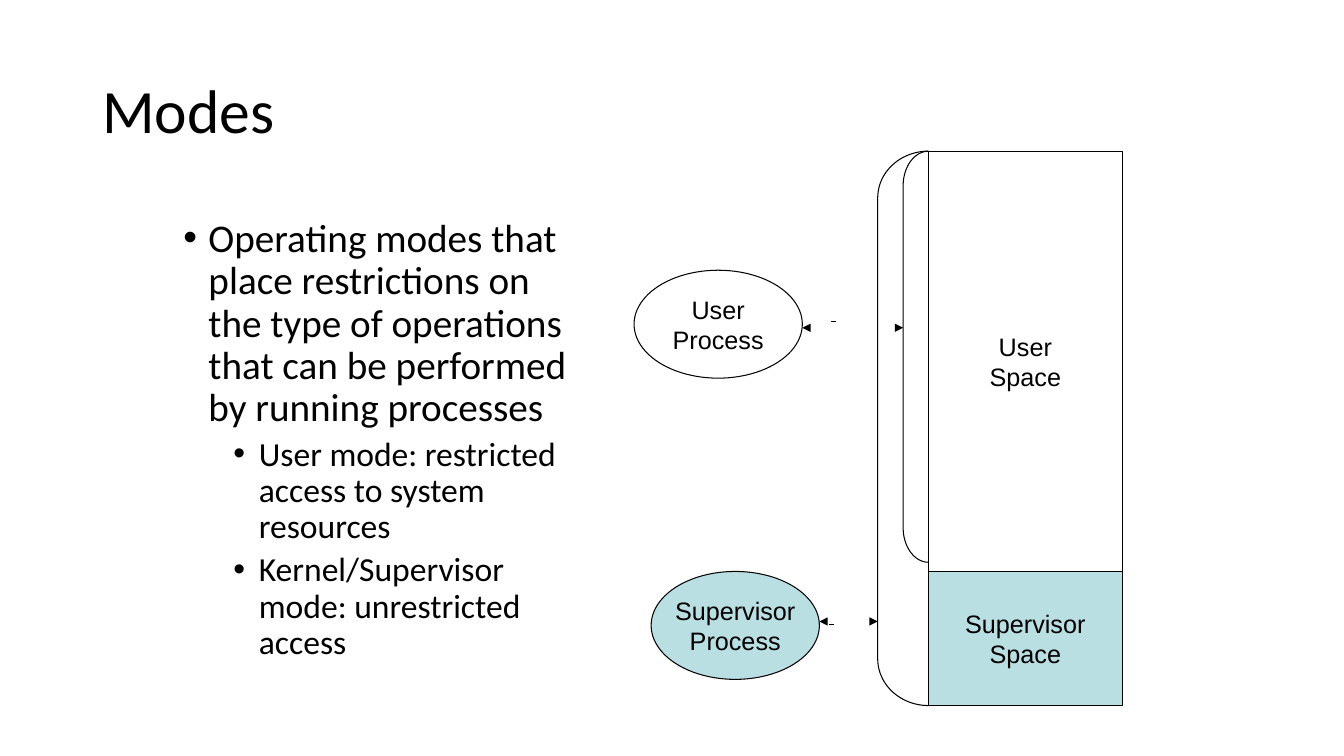
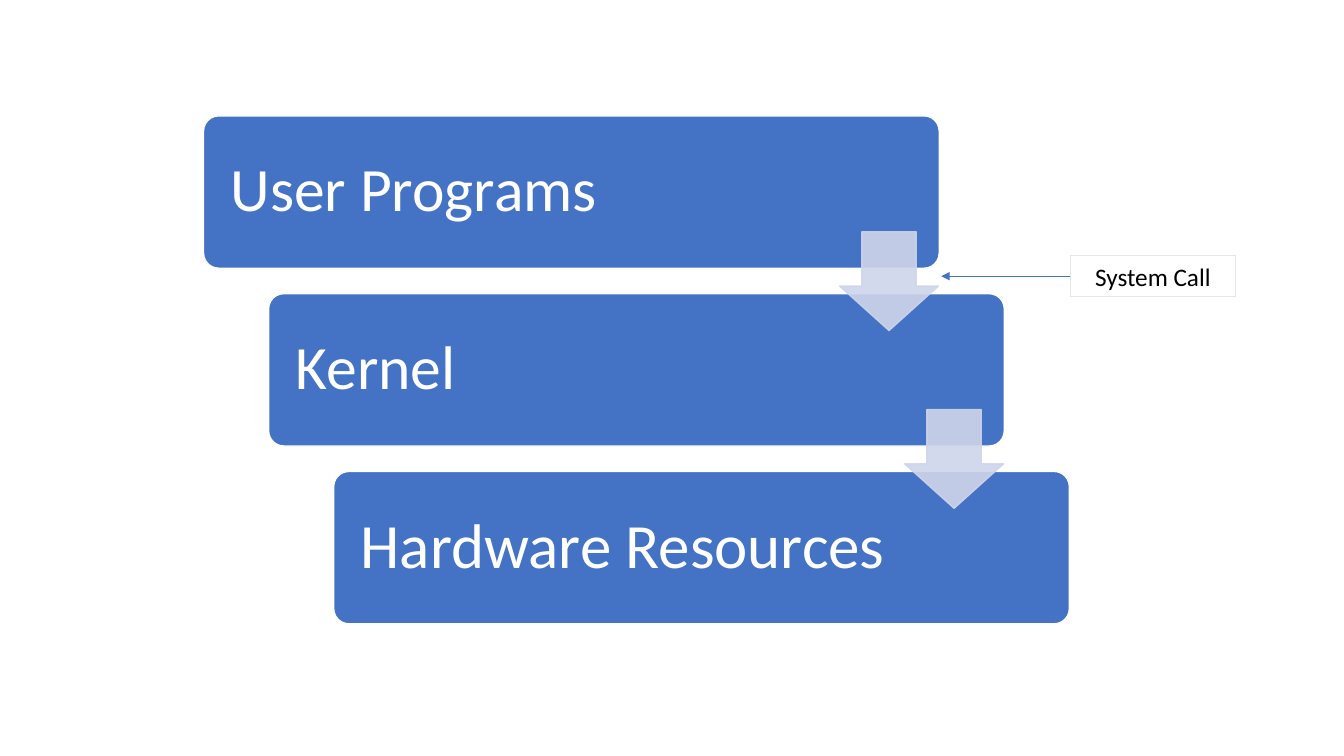
"""Build two slides on processor modes and the layers of a system."""
from dataclasses import dataclass
from typing import Any, NamedTuple

from lxml.etree import SubElement
from pptx import Presentation
from pptx.dml.color import RGBColor
from pptx.enum.shapes import MSO_CONNECTOR, MSO_SHAPE
from pptx.enum.text import MSO_ANCHOR, PP_ALIGN
from pptx.oxml.ns import qn
from pptx.shapes.autoshape import Shape
from pptx.shapes.connector import Connector
from pptx.slide import Slide
from pptx.text.text import TextFrame
from pptx.util import Cm, Pt


@dataclass(frozen=True)
class Theme:
    black: str = "000000"
    white: str = "FFFFFF"
    teal: str = "BADFE2"
    blue: str = "4472C4"
    pale: str = "CFD5EA"
    gray: str = "E7E6E6"
    sans: str = "Calibri"
    plain: str = "Arial"
    title: float = 44
    large: float = 45
    body: float = 28
    point: float = 24
    label: float = 18
    thin: float = 0.5
    edge: float = 0.75
    thick: float = 1


THEME = Theme()


class Box(NamedTuple):
    left: float
    top: float
    width: float
    height: float

    def cm(self) -> list[Cm]:
        return [Cm(side) for side in self]


class Part(NamedTuple):
    kind: MSO_SHAPE
    box: Box
    lines: tuple[str, ...] = ()
    fill: str | None = None
    adjust: tuple[float, ...] = ()


class Point(NamedTuple):
    text: str
    size: float
    indent: float
    before: float


class Link(NamedTuple):
    start: float
    end: float
    row: float
    dash: float
    level: float


class Layer(NamedTuple):
    text: str
    size: float


HEAD = 0.21
SPACE_X, SPACE_Y, SPACE_W = 23.4, 3.81, 4.88
OVAL_W, OVAL_H = 4.24, 2.72
SPLIT = 14.4
BOTTOM = 17.78

PARTS = (
    Part(MSO_SHAPE.RECTANGLE, Box(SPACE_X, SPACE_Y, SPACE_W, SPLIT - SPACE_Y), ("User", "Space")),
    Part(MSO_SHAPE.RECTANGLE, Box(SPACE_X, SPLIT, SPACE_W, BOTTOM - SPLIT),
         ("Supervisor", "Space"), THEME.teal),
    Part(MSO_SHAPE.LEFT_BRACKET, Box(22.76, SPACE_Y, 0.64, 10.36), adjust=(1.36,)),
    Part(MSO_SHAPE.LEFT_BRACKET, Box(22.12, SPACE_Y, 1.28, BOTTOM - SPACE_Y), adjust=(0.92,)),
    Part(MSO_SHAPE.OVAL, Box(16.41, SPLIT, OVAL_W, OVAL_H), ("Supervisor", "Process"), THEME.teal),
    Part(MSO_SHAPE.OVAL, Box(15.98, 6.81, OVAL_W, OVAL_H), ("User", "Process")),
)

LINKS = (
    Link(20.22, 22.76, 8.26, 20.94, 8.09),
    Link(20.65, 22.12, 15.66, 20.89, 15.73),
)

POINTS = (
    Point("Operating modes that place restrictions on the type of operations "
          "that can be performed by running processes", THEME.body, 0.25, 10),
    Point("User mode: restricted access to system resources", THEME.point, 0.75, 5),
    Point("Kernel/Supervisor mode: unrestricted access", THEME.point, 0.75, 5),
)

LAYERS = (
    Layer("User Programs", THEME.title),
    Layer("Kernel", THEME.title),
    Layer("Hardware Resources", THEME.large),
)
FIRST = Box(5.13, 2.92, 18.54, 3.84)
STEP_X, STEP_Y = 1.64, 4.48
ARROW = Box(21.16, 5.84, 2.49, 2.49)


def apply(item: Any, values: dict[str, Any]) -> None:
    for name, value in values.items():
        setattr(item, name, value)


def write(frame: TextFrame, lines: tuple[str, ...], size: float, font: str,
          color: str = THEME.black, **form: Any) -> None:
    for row, text in enumerate(lines):
        para = frame.paragraphs[0] if row == 0 else frame.add_paragraph()
        run = para.add_run()
        run.text = text
        apply(para, form)
        apply(run.font, {"size": Pt(size), "name": font})
        run.font.color.rgb = RGBColor.from_string(color)


def draw(slide: Slide, kind: MSO_SHAPE, box: Box, fill: str | None = None,
         line: str | None = None, width: float = THEME.edge,
         adjust: tuple[float, ...] = ()) -> Shape:
    shape = slide.shapes.add_shape(kind, *box.cm())
    shape.shadow.inherit = False
    for row, value in enumerate(adjust):
        shape.adjustments[row] = value
    if fill:
        shape.fill.solid()
        shape.fill.fore_color.rgb = RGBColor.from_string(fill)
    else:
        shape.fill.background()
    if line:
        shape.line.color.rgb = RGBColor.from_string(line)
        shape.line.width = Pt(width)
    else:
        shape.line.fill.background()
    return shape


def fade(shape: Shape, share: int) -> None:
    for color in shape.element.spPr.iter(qn("a:srgbClr")):
        SubElement(color, qn("a:alpha"), val=str(share * 1000))


def join(slide: Slide, start: tuple[float, float], end: tuple[float, float],
         color: str, width: float, head: bool = False) -> Connector:
    ends = [Cm(value) for value in (*start, *end)]
    line = slide.shapes.add_connector(MSO_CONNECTOR.STRAIGHT, *ends)
    line.line.color.rgb = RGBColor.from_string(color)
    line.line.width = Pt(width)
    if head:
        SubElement(line.line._get_or_add_ln(), qn("a:tailEnd"), type="triangle")
    SubElement(line.element.spPr, qn("a:effectLst"))
    return line


def add_text(slide: Slide, box: Box, anchor: MSO_ANCHOR) -> TextFrame:
    frame = slide.shapes.add_textbox(*box.cm()).text_frame
    apply(frame, {"word_wrap": True, "vertical_anchor": anchor})
    return frame


def add_points(frame: TextFrame) -> None:
    for row, point in enumerate(POINTS):
        para = frame.paragraphs[0] if row == 0 else frame.add_paragraph()
        run = para.add_run()
        run.text = point.text
        apply(para, {"line_spacing": 0.9, "space_before": Pt(point.before)})
        apply(run.font, {"size": Pt(point.size), "name": THEME.sans})
        run.font.color.rgb = RGBColor.from_string(THEME.black)
        form = para._p.get_or_add_pPr()
        form.set("marL", str(Cm(point.indent * 2.54)))
        form.set("indent", str(-Cm(0.64)))
        SubElement(form, qn("a:buFont"), typeface=THEME.plain)
        SubElement(form, qn("a:buChar"), char="•")


def add_modes(slide: Slide) -> None:
    title = add_text(slide, Box(2.33, 1.02, 29.21, 3.68), MSO_ANCHOR.MIDDLE)
    write(title, ("Modes",), THEME.title, THEME.sans, line_spacing=0.9)
    add_points(add_text(slide, Box(4.37, 5.38, 10.49, 12.67), MSO_ANCHOR.TOP))
    for part in PARTS:
        shape = draw(slide, part.kind, part.box, part.fill, THEME.black, adjust=part.adjust)
        if part.lines:
            apply(shape.text_frame, {"word_wrap": False, "vertical_anchor": MSO_ANCHOR.MIDDLE})
            write(shape.text_frame, part.lines, THEME.label, THEME.plain,
                  alignment=PP_ALIGN.CENTER)
    for link in LINKS:
        for left, turn in ((link.start, 270), (link.end - HEAD, 90)):
            box = Box(left, link.row - HEAD / 2, HEAD, HEAD)
            draw(slide, MSO_SHAPE.ISOSCELES_TRIANGLE, box, THEME.black).rotation = turn
        join(slide, (link.dash, link.level), (link.dash + 0.14, link.level),
             THEME.black, THEME.edge)


def add_layers(slide: Slide) -> None:
    for row, layer in enumerate(LAYERS):
        box = FIRST._replace(left=FIRST.left + row * STEP_X, top=FIRST.top + row * STEP_Y)
        shape = draw(slide, MSO_SHAPE.ROUNDED_RECTANGLE, box, THEME.blue, THEME.white,
                     THEME.thick, (0.1,))
        apply(shape.text_frame, {"word_wrap": True, "margin_left": Cm(0.57),
                                 "vertical_anchor": MSO_ANCHOR.MIDDLE})
        write(shape.text_frame, (layer.text,), layer.size, THEME.sans, THEME.white,
              alignment=PP_ALIGN.LEFT, line_spacing=0.9)
    for row in range(len(LAYERS) - 1):
        box = ARROW._replace(left=ARROW.left + row * STEP_X, top=ARROW.top + row * STEP_Y)
        fade(draw(slide, MSO_SHAPE.DOWN_ARROW, box, THEME.pale, THEME.pale,
                  THEME.thick, (0.45, 0.55)[::-1]), 90)
    label = draw(slide, MSO_SHAPE.RECTANGLE, Box(26.97, 6.45, 4.17, 1.02), line=THEME.gray)
    apply(label.text_frame, {"word_wrap": False, "vertical_anchor": MSO_ANCHOR.MIDDLE})
    write(label.text_frame, ("System Call",), THEME.label, THEME.sans,
          alignment=PP_ALIGN.CENTER)
    call = join(slide, (26.97, 6.96), (23.72, 6.96), THEME.blue, THEME.thin, head=True)
    call.begin_connect(label, 1)


def main() -> None:
    deck = Presentation()
    apply(deck, {"slide_width": Cm(33.87), "slide_height": Cm(19.05)})
    for build in (add_modes, add_layers):
        build(deck.slides.add_slide(deck.slide_layouts[6]))
    deck.save("out.pptx")


if __name__ == "__main__":
    main()
